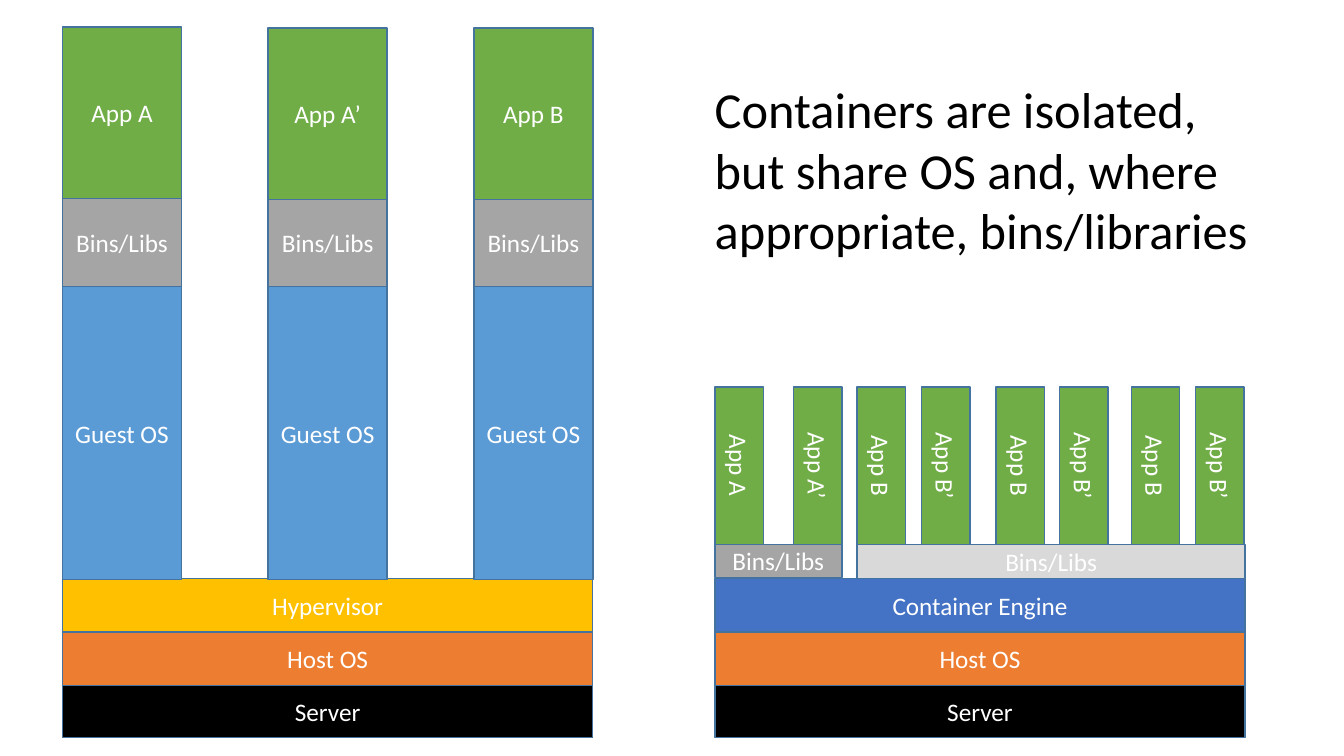
"""Build a slide comparing virtual machines with containers."""
from dataclasses import dataclass

from pptx import Presentation
from pptx.dml.color import RGBColor
from pptx.enum import shapes, text
from pptx.util import Inches, Pt


@dataclass(frozen=True)
class Theme:
    """Colours, font and sizes of the slide."""
    font: str = "Calibri"
    label_size: int = 18
    message_size: int = 36
    outline_width: int = 1
    outline: str = "43739E"
    label: str = "FFFFFF"
    message: str = "000000"
    server: str = "000000"
    host: str = "ED7D31"
    hypervisor: str = "FFC000"
    engine: str = "4472C4"
    guest: str = "5B9BD5"
    libs: str = "A5A5A5"
    shared_libs: str = "D9D9D9"
    app: str = "70AD47"


THEME = Theme()
VM_LEFT, CONTAINER_LEFT = 0.62, 7.09
STACK_WIDTH, LAYER_HEIGHT = 5.26, 0.53
LAYER_TOPS = (6.79, 6.27, 5.74)
VM_WIDTH, VM_PITCH = 1.18, 2.04


def style_text(frame, size, color):
    """Give every run of a frame the theme font, a size and a colour."""
    for paragraph in frame.paragraphs:
        for run in paragraph.runs:
            run.font.name = THEME.font
            run.font.size = Pt(size)
            run.font.color.rgb = RGBColor.from_string(color)


def add_block(slide, label, fill, left, top, width, height, vertical=False):
    """Add an outlined rectangle with a centred label."""
    block = slide.shapes.add_shape(
        shapes.MSO_SHAPE.RECTANGLE,
        Inches(left), Inches(top), Inches(width), Inches(height))
    block.shadow.inherit = False
    block.fill.solid()
    block.fill.fore_color.rgb = RGBColor.from_string(fill)
    block.line.color.rgb = RGBColor.from_string(THEME.outline)
    block.line.width = Pt(THEME.outline_width)
    frame = block.text_frame
    frame.text = label
    frame.word_wrap = True
    frame.vertical_anchor = text.MSO_ANCHOR.MIDDLE
    frame.paragraphs[0].alignment = text.PP_ALIGN.CENTER
    style_text(frame, THEME.label_size, THEME.label)
    if vertical:
        frame._txBody.bodyPr.set("vert", "vert")


def add_foundation(slide, left, platform, platform_fill):
    """Add the server, host and platform layers from the bottom up."""
    layers = (("Server", THEME.server), ("Host OS", THEME.host),
              (platform, platform_fill))
    for (label, fill), top in zip(layers, LAYER_TOPS):
        add_block(slide, label, fill, left, top, STACK_WIDTH, LAYER_HEIGHT)


def add_virtual_machine(slide, app, app_top, left):
    """Add one column of guest system, libraries and app."""
    add_block(slide, "Guest OS", THEME.guest, left, 2.84, VM_WIDTH, 2.91)
    add_block(slide, "Bins/Libs", THEME.libs, left, 1.97, VM_WIDTH, 0.87)
    add_block(slide, app, THEME.app, left, app_top, VM_WIDTH, 1.7)


def add_containers(slide):
    """Add the libraries and the upright apps that share them."""
    add_block(slide, "Bins/Libs", THEME.libs, CONTAINER_LEFT, 5.4, 1.26, 0.33)
    add_block(slide, "Bins/Libs", THEME.shared_libs, 8.5, 5.4, 3.85, 0.34)
    pairs = (("A", 7.09, 7.87), ("B", 8.5, 9.14),
             ("B", 9.88, 10.51), ("B", 11.22, 11.86))
    for letter, first_left, second_left in pairs:
        for mark, left in (("", first_left), ("’", second_left)):
            add_block(slide, f"App {letter}{mark}", THEME.app,
                      left, 3.84, 0.48, 1.56, vertical=True)


def add_message(slide, wording):
    """Add the main statement above the containers."""
    message = slide.shapes.add_textbox(
        Inches(6.99), Inches(0.73), Inches(5.69), Inches(1.92))
    frame = message.text_frame
    frame.text = wording
    frame.word_wrap = True
    frame.auto_size = text.MSO_AUTO_SIZE.SHAPE_TO_FIT_TEXT
    style_text(frame, THEME.message_size, THEME.message)


def main():
    """Build and save the slide."""
    deck = Presentation()
    deck.slide_width, deck.slide_height = Inches(13.33), Inches(7.5)
    slide = deck.slides.add_slide(deck.slide_layouts[6])
    add_foundation(slide, VM_LEFT, "Hypervisor", THEME.hypervisor)
    add_foundation(slide, CONTAINER_LEFT, "Container Engine", THEME.engine)
    machines = (("App A", 0.27), ("App A’", 0.28), ("App B", 0.28))
    for column, (app, app_top) in enumerate(machines):
        add_virtual_machine(slide, app, app_top, VM_LEFT + column * VM_PITCH)
    add_containers(slide)
    add_message(slide, "Containers are isolated, but share OS and, "
                       "where appropriate, bins/libraries")
    deck.save("out.pptx")


if __name__ == "__main__":
    main()
